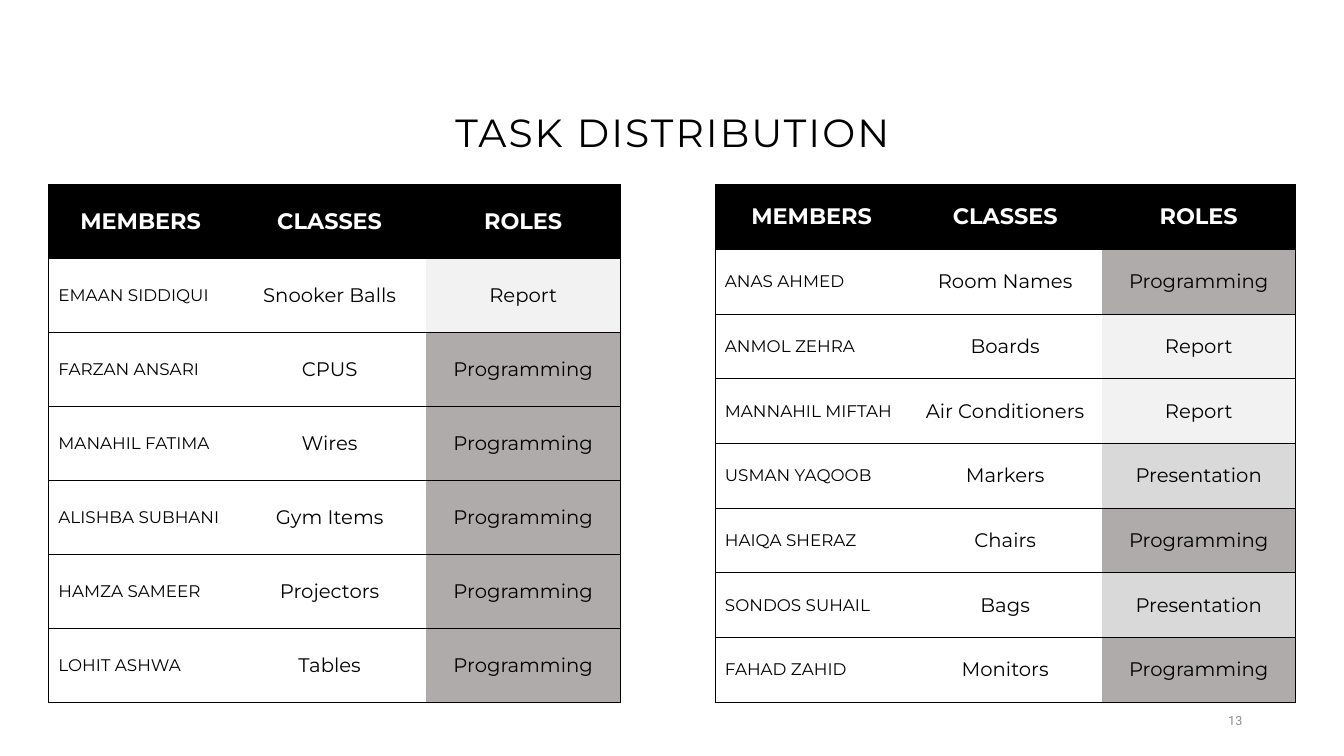
from lxml import etree
from pptx import Presentation
from pptx.dml.color import RGBColor
from pptx.enum import text as t
from pptx.oxml import ns
from pptx.util import Inches, Pt

TITLE = "TASK DISTRIBUTION"
PAGE_NUMBER = "13"
HEADINGS = ("MEMBERS", "CLASSES", "ROLES")
FIRST_TEAM = [
    ("EMAAN SIDDIQUI", "Snooker Balls", "Report"),
    ("FARZAN ANSARI", "CPUS", "Programming"),
    ("MANAHIL FATIMA", "Wires", "Programming"),
    ("ALISHBA SUBHANI", "Gym Items", "Programming"),
    ("HAMZA SAMEER", "Projectors", "Programming"),
    ("LOHIT ASHWA", "Tables", "Programming"),
]
SECOND_TEAM = [
    ("ANAS AHMED", "Room Names", "Programming"),
    ("ANMOL ZEHRA", "Boards", "Report"),
    ("MANNAHIL MIFTAH", "Air Conditioners", "Report"),
    ("USMAN YAQOOB", "Markers", "Presentation"),
    ("HAIQA SHERAZ", "Chairs", "Programming"),
    ("SONDOS SUHAIL", "Bags", "Presentation"),
    ("FAHAD ZAHID", "Monitors", "Programming"),
]
TEAMS = [
    (0.48, (1.83, 1.92, 1.92), FIRST_TEAM),
    (7.09, (1.92, 1.92, 1.92), SECOND_TEAM),
]
TABLE_TOP, TABLE_HEIGHT = 1.83, 5.14

BLACK = RGBColor(0x00, 0x00, 0x00)
WHITE = RGBColor(0xFF, 0xFF, 0xFF)
NUMBER_GREY = RGBColor(0x8C, 0x8C, 0x8C)
ROLE_FILLS = {
    "Report": RGBColor(0xF2, 0xF2, 0xF2),
    "Presentation": RGBColor(0xD9, 0xD9, 0xD9),
    "Programming": RGBColor(0xAF, 0xAB, 0xAB),
}
LEFT, CENTER, RIGHT = t.PP_ALIGN.LEFT, t.PP_ALIGN.CENTER, t.PP_ALIGN.RIGHT
MIDDLE, BOTTOM = t.MSO_ANCHOR.MIDDLE, t.MSO_ANCHOR.BOTTOM


def write(frame, words, size, color=BLACK, font="Montserrat", bold=False,
          align=CENTER, spacing=None, line_spacing=None):
    frame.word_wrap = True
    line = frame.paragraphs[0]
    line.alignment = align
    if line_spacing:
        line.line_spacing = line_spacing
    run = line.add_run()
    run.text = words
    run.font.size, run.font.name, run.font.bold = Pt(size), font, bold
    run.font.color.rgb = color
    if spacing:
        run.font._element.set("spc", str(int(spacing * 100)))


def add_label(slide, place, words, anchor, **style):
    frame = slide.shapes.add_textbox(*map(Inches, place)).text_frame
    frame.vertical_anchor = anchor
    write(frame, words, **style)


def set_borders(cell, visible):
    properties = cell._tc.get_or_add_tcPr()
    for position, side in enumerate("LRTB"):
        edge = etree.Element(ns.qn(f"a:ln{side}"), w=str(Pt(0.5)))
        if side in visible:
            paint = etree.SubElement(edge, ns.qn("a:solidFill"))
            etree.SubElement(paint, ns.qn("a:srgbClr"), val=str(BLACK))
        else:
            etree.SubElement(edge, ns.qn("a:noFill"))
        properties.insert(position, edge)


def add_team(slide, left, widths, members):
    rows = [HEADINGS, *members]
    table = slide.shapes.add_table(
        len(rows), len(HEADINGS), Inches(left), Inches(TABLE_TOP),
        Inches(sum(widths)), Inches(TABLE_HEIGHT)).table
    table.horz_banding = False
    for column, width in zip(table.columns, widths):
        column.width = Inches(width)
    column_styles = [dict(size=12, align=LEFT), dict(size=14), dict(size=14)]
    outer_sides = ("L", "", "R")
    for r, row in enumerate(rows):
        table.rows[r].height = Inches(TABLE_HEIGHT / len(rows))
        for c, words in enumerate(row):
            cell = table.cell(r, c)
            cell.vertical_anchor = MIDDLE
            cell.fill.solid()
            if r == 0:
                cell.fill.fore_color.rgb = BLACK
                write(cell.text_frame, words, size=16, color=WHITE, bold=True)
            else:
                cell.fill.fore_color.rgb = ROLE_FILLS.get(words, WHITE)
                write(cell.text_frame, words, **column_styles[c])
            set_borders(cell, "TB" + outer_sides[c])


def main():
    deck = Presentation()
    deck.slide_width, deck.slide_height = Inches(13.33), Inches(7.5)
    slide = deck.slides.add_slide(deck.slide_layouts[6])
    add_label(slide, (0.92, 0.15, 11.5, 1.45), TITLE, BOTTOM,
              size=28, spacing=1.5, line_spacing=0.9)
    add_label(slide, (9.42, 6.95, 3, 0.4), PAGE_NUMBER, MIDDLE,
              size=9, font="Roboto", color=NUMBER_GREY, align=RIGHT)
    for team in TEAMS:
        add_team(slide, *team)
    deck.save("out.pptx")


if __name__ == "__main__":
    main()
